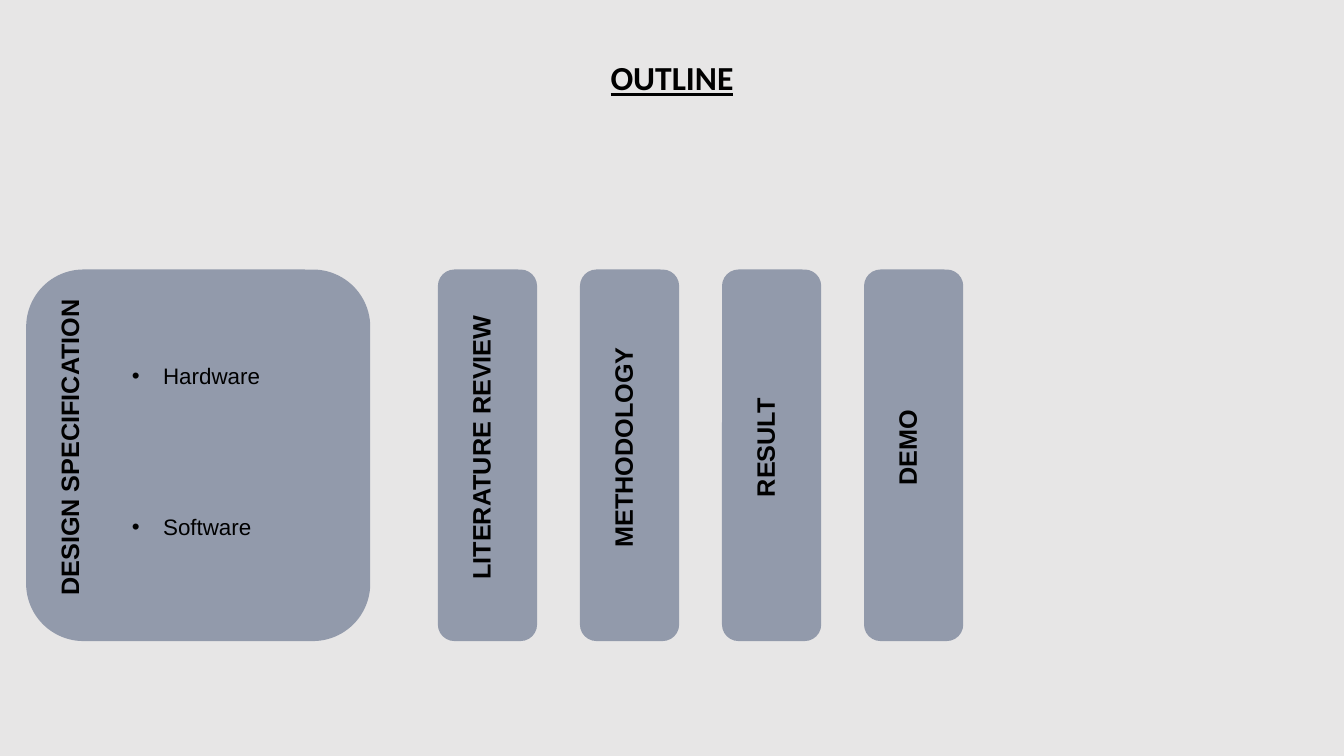
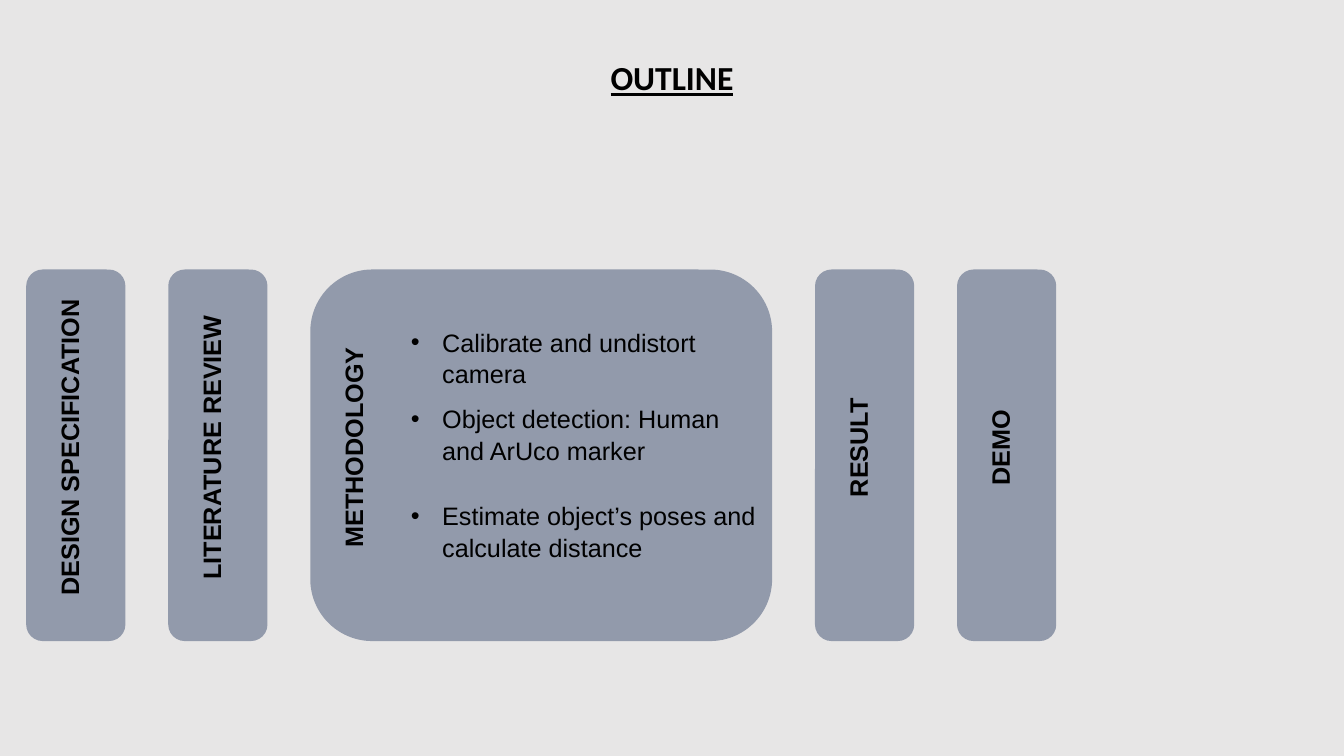
from pptx import Presentation
from pptx import util as u
from pptx.dml.color import RGBColor
from pptx.enum import shapes, text
from pptx.oxml import parse_xml
from pptx.oxml.ns import nsdecls

BACKGROUND = RGBColor(0xE7, 0xE6, 0xE6)
PANEL = RGBColor(0x92, 0x9A, 0xAB)
INK = RGBColor(0, 0, 0)

presentation = Presentation()
presentation.slide_width = u.Inches(13.33)
presentation.slide_height = u.Inches(7.5)

TITLE_WIDTH = 23.4
PANEL_LEFT, PANEL_TOP = 1.95, 35.65
PANEL_WIDTH, PANEL_HEIGHT = 7.38, 49.15
PANEL_GAP = 3.19
LABEL_INSET, LABEL_TOP = 1.69, 38.27
LABEL_WIDTH, LABEL_HEIGHT = 3.75, 41.87

SECTIONS = ["DESIGN SPECIFICATION", "LITERATURE REVIEW", "METHODOLOGY", "RESULT", "DEMO"]
OUTLINES = [
    {
        "open": "DESIGN SPECIFICATION", "width": 25.6, "gap": 5.03,
        "inset": 7.13, "note_width": 33.08, "note_height": 8.53, "size": 16,
        "notes": [(47.07, "Hardware"), (67.07, "Software")],
    },
    {
        "open": "METHODOLOGY", "width": 34.36, "gap": PANEL_GAP,
        "inset": 6.75, "note_width": 27.6, "note_height": 13.47, "size": 18,
        "notes": [
            (42.4, "Calibrate and undistort camera"),
            (52.53, "Object detection: Human and ArUco marker"),
            (65.33, "Estimate object’s poses and calculate distance"),
        ],
    },
]


def percent_box(left, top, width, height):
    across = presentation.slide_width / 100
    down = presentation.slide_height / 100
    return [int(length) for length in (left * across, top * down, width * across, height * down)]


def add_text(slide, box, words, size, font="Arial", bold=True):
    shape = slide.shapes.add_textbox(*percent_box(*box))
    shape.text_frame.word_wrap = True
    paragraph = shape.text_frame.paragraphs[0]
    paragraph.alignment = text.PP_ALIGN.CENTER
    run = paragraph.add_run()
    run.text = words
    run.font.name = font
    run.font.size = u.Pt(size)
    run.font.bold = bold
    run.font.color.rgb = INK
    return shape


for outline in OUTLINES:
    slide = presentation.slides.add_slide(presentation.slide_layouts[6])
    slide.background.fill.solid()
    slide.background.fill.fore_color.rgb = BACKGROUND

    title_box = ((100 - TITLE_WIDTH) / 2, 6.93, TITLE_WIDTH, 6.73)
    title = add_text(slide, title_box, "OUTLINE", 24, "Calibri")
    title.text_frame.paragraphs[0].runs[0].font.underline = True

    left = PANEL_LEFT
    for section in SECTIONS:
        is_open = section == outline["open"]
        width = outline["width"] if is_open else PANEL_WIDTH
        panel = slide.shapes.add_shape(
            shapes.MSO_SHAPE.ROUNDED_RECTANGLE,
            *percent_box(left, PANEL_TOP, width, PANEL_HEIGHT))
        panel.shadow.inherit = False
        panel.fill.solid()
        panel.fill.fore_color.rgb = PANEL
        panel.line.fill.background()

        label_box = (left + LABEL_INSET, LABEL_TOP, LABEL_WIDTH, LABEL_HEIGHT)
        label = add_text(slide, label_box, section, 18)
        label.text_frame._txBody.bodyPr.set("vert", "vert270")

        if is_open:
            for top, words in outline["notes"]:
                note_box = (left + outline["inset"], top, outline["note_width"], outline["note_height"])
                note = add_text(slide, note_box, words, outline["size"], bold=False)
                paragraph = note.text_frame.paragraphs[0]
                paragraph.alignment = text.PP_ALIGN.LEFT
                paragraph.line_spacing = 1.05
                properties = paragraph._p.get_or_add_pPr()
                properties.set("marL", str(u.Inches(0.31)))
                properties.set("indent", str(-u.Inches(0.31)))
                properties.append(parse_xml(f'<a:buFont {nsdecls("a")} typeface="Arial"/>'))
                properties.append(parse_xml(f'<a:buChar {nsdecls("a")} char="•"/>'))

        left += width + (outline["gap"] if is_open else PANEL_GAP)

presentation.save("out.pptx")
